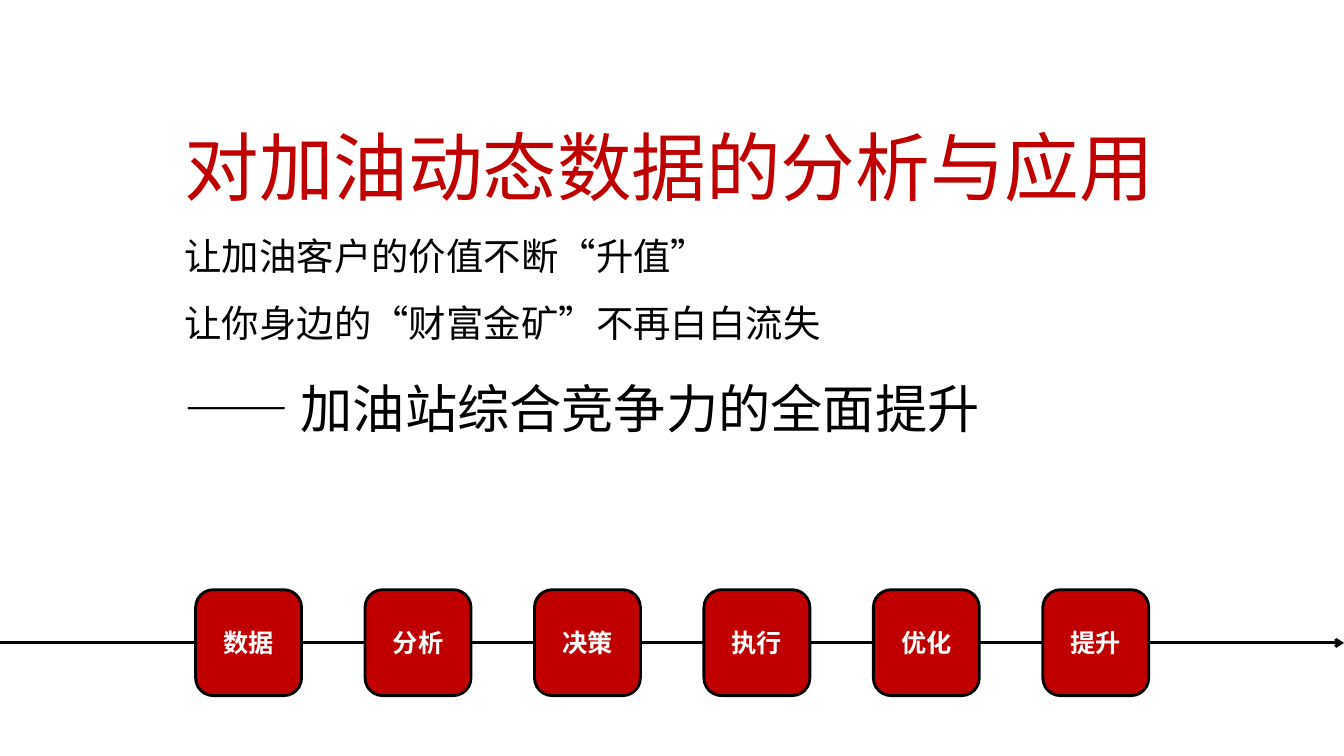
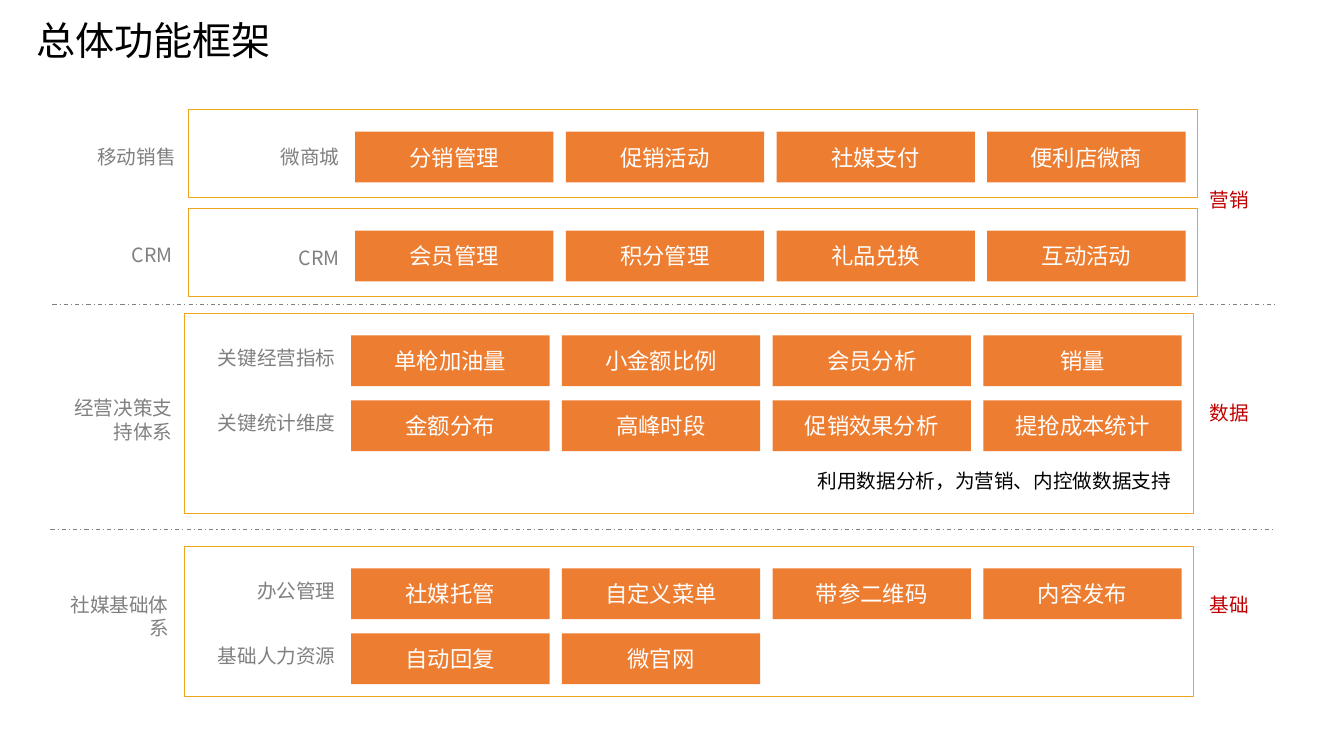
import pptx
import pptx.util
import pptx.dml.color
import pptx.enum.dml
import pptx.enum.shapes
import pptx.enum.text
import pptx.oxml
import pptx.oxml.ns

Cm, Pt = pptx.util.Cm, pptx.util.Pt
KIND = pptx.enum.shapes.MSO_SHAPE
ALIGN = pptx.enum.text.PP_ALIGN

# Shared style
FONT = "Noto Sans CJK SC"
RED, ORANGE, GOLD = "C00000", "ED7D31", "EFA420"
BLACK, GRAY, WHITE = "000000", "808080", "FFFFFF"


def color(code):
    return pptx.dml.color.RGBColor.from_string(code)


class Deck:
    def __init__(self):
        self.show = pptx.Presentation()
        self.show.slide_width, self.show.slide_height = Cm(33.87), Cm(19.05)
        self.slide = None

    def page(self):
        self.slide = self.show.slides.add_slide(self.show.slide_layouts[6])

    def style(self, para, text, size, ink, align=ALIGN.LEFT, bold=False, gap=None):
        para.alignment = align
        para.line_spacing = gap
        run = para.add_run()
        run.text = text
        form = {"name": FONT, "size": Pt(size), "bold": bold}
        for key, value in form.items():
            setattr(run.font, key, value)
        run.font.color.rgb = color(ink)
        east = pptx.oxml.parse_xml(
            f'<a:ea {pptx.oxml.ns.nsdecls("a")} typeface="{FONT}"/>')
        run.font._element.find(pptx.oxml.ns.qn("a:latin")).addnext(east)

    def text(self, left, top, width, height, lines, **form):
        box = self.slide.shapes.add_textbox(Cm(left), Cm(top), Cm(width), Cm(height))
        frame = box.text_frame
        frame.word_wrap = True
        for i, (words, size, ink) in enumerate(lines):
            para = frame.add_paragraph() if i else frame.paragraphs[0]
            self.style(para, words, size, ink, **form)

    def label(self, left, top, width, words, ink=GRAY, align=ALIGN.RIGHT, height=0.97):
        self.text(left, top, width, height, [(words, 14, ink)], align=align)

    def block(self, kind, left, top, width, height, fill=None, line=None, weight=0.75):
        box = self.slide.shapes.add_shape(kind, Cm(left), Cm(top), Cm(width), Cm(height))
        box.shadow.inherit = False
        if fill:
            box.fill.solid()
            box.fill.fore_color.rgb = color(fill)
        else:
            box.fill.background()
        if line:
            box.line.color.rgb = color(line)
            box.line.width = Pt(weight)
        else:
            box.line.fill.background()
        return box

    def tile(self, box, words, size, bold=False):
        frame = box.text_frame
        form = {"word_wrap": True, "margin_left": 0, "margin_right": 0,
                "vertical_anchor": pptx.enum.text.MSO_ANCHOR.MIDDLE}
        for key, value in form.items():
            setattr(frame, key, value)
        self.style(frame.paragraphs[0], words, size, WHITE, ALIGN.CENTER, bold)

    def rule(self, left, right, top, ink, weight, dash=None, arrow=False):
        line = self.slide.shapes.add_connector(
            pptx.enum.shapes.MSO_CONNECTOR.STRAIGHT, Cm(left), Cm(top), Cm(right), Cm(top))
        form = {"width": Pt(weight), "dash_style": dash}
        line.line.color.rgb = color(ink)
        for key, value in form.items():
            setattr(line.line, key, value)
        names = pptx.oxml.ns.nsdecls("a")
        if arrow:
            line.line._get_or_add_ln().append(
                pptx.oxml.parse_xml(f'<a:tailEnd {names} type="arrow"/>'))
        line._element.spPr.append(pptx.oxml.parse_xml(f"<a:effectLst {names}/>"))


def cover(deck):
    deck.page()
    # Headline
    deck.text(4.4, 1.8, 27.74, 11, [
        ("对加油动态数据的分析与应用", 53.3, RED),
        ("让加油客户的价值不断“升值”", 26.7, BLACK),
        ("让你身边的“财富金矿”不再白白流失", 26.7, BLACK),
        ("—— 加油站综合竞争力的全面提升", 37.3, BLACK)], gap=1.5)
    # Process line
    deck.rule(0, 33.87, 16.2, BLACK, 2, arrow=True)
    for i, step in enumerate(["数据", "分析", "决策", "执行", "优化", "提升"]):
        box = deck.block(KIND.FLOWCHART_ALTERNATE_PROCESS, 4.93 + i * 4.27, 14.86,
                         2.67, 2.67, RED, BLACK, 2)
        deck.tile(box, step, 18, True)


def layer(deck, left, top, height, drop, rows):
    deck.block(KIND.RECTANGLE, left, top, 25.43, height, line=GOLD)
    for i, (name, items) in enumerate(rows):
        high = top + 0.55 + i * 1.64
        deck.label(left - 0.16, high + drop, 4.22, name)
        for j, item in enumerate(items):
            box = deck.block(KIND.RECTANGLE, left + 4.2 + j * 5.31, high, 5, 1.28, ORANGE)
            deck.tile(box, item, 16)


def plan(deck):
    deck.page()
    deck.text(0.66, 0.28, 30.2, 1.45, [("总体功能框架", 28, BLACK)])
    # Framed layers
    layer(deck, 4.75, 2.77, 2.21, 0.2, [
        ("微商城", ["分销管理", "促销活动", "社媒支付", "便利店微商"])])
    layer(deck, 4.75, 5.26, 2.21, 0.25, [
        ("CRM", ["会员管理", "积分管理", "礼品兑换", "互动活动"])])
    layer(deck, 4.65, 7.9, 5.03, 0.15, [
        ("关键经营指标", ["单枪加油量", "小金额比例", "会员分析", "销量"]),
        ("关键统计维度", ["金额分布", "高峰时段", "促销效果分析", "提抢成本统计"])])
    layer(deck, 4.65, 13.77, 3.78, 0.15, [
        ("办公管理", ["社媒托管", "自定义菜单", "带参二维码", "内容发布"]),
        ("基础人力资源", ["自动回复", "微官网"])])
    deck.label(13.54, 11.68, 16.23, "利用数据分析，为营销、内控做数据支持", BLACK)
    # Names at the left
    for left, top, height, name in [
            (1.45, 3.53, 0.97, "移动销售"), (1.37, 5.99, 0.97, "CRM"),
            (1.37, 9.86, 1.65, "经营决策支持体系"), (1.27, 14.81, 1.65, "社媒基础体系")]:
        deck.label(left, top, 3.23, name, height=height)
    # Tags at the right
    for top, name in [(4.6, "营销"), (9.98, "数据"), (14.81, "基础")]:
        deck.label(30.23, top, 2.5, name, RED, ALIGN.LEFT)
    # Dividers
    for left, top in [(1.32, 7.67), (1.27, 13.34)]:
        deck.rule(left, left + 30.86, top, GRAY, 0.75, pptx.enum.dml.MSO_LINE.DASH_DOT)


def main():
    deck = Deck()
    cover(deck)
    plan(deck)
    deck.show.save("out.pptx")


if __name__ == "__main__":
    main()
